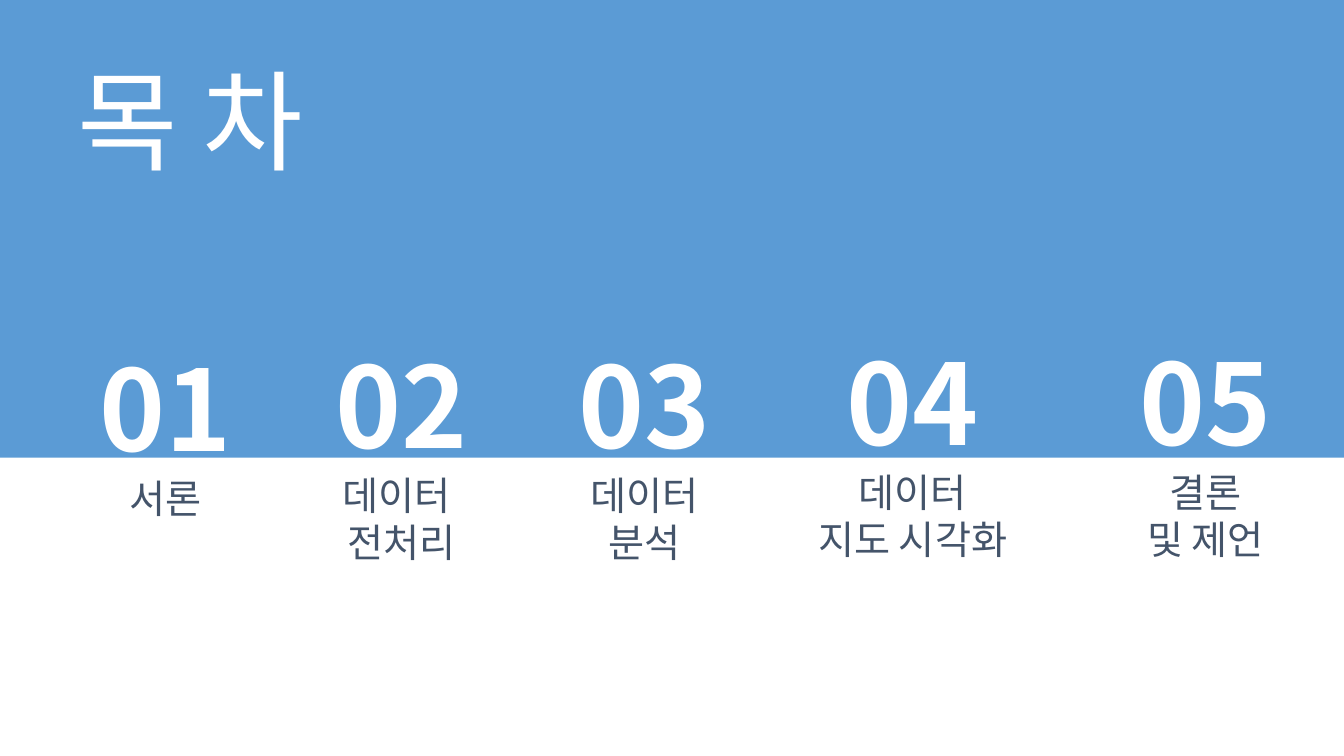
from dataclasses import dataclass

from lxml.etree import SubElement
from pptx import Presentation
from pptx.dml.color import RGBColor
from pptx.enum.shapes import MSO_SHAPE
from pptx.enum.text import MSO_ANCHOR, MSO_AUTO_SIZE, PP_ALIGN
from pptx.oxml.ns import qn
from pptx.shapes.autoshape import Shape
from pptx.slide import Slide
from pptx.text.text import _Paragraph
from pptx.util import Cm, Pt

FONT = "Noto Sans CJK KR"
COLORS = {"blue": "5B9BD5", "white": "FFFFFF", "slate": "44546A"}
SLIDE_WIDTH, SLIDE_HEIGHT = 33.87, 19.05
HORIZON = 11.53


@dataclass
class Band:
    top: float
    color: str


@dataclass
class Chapter:
    number: str
    lines: list[str]
    left: float
    top: float
    width: float


BANDS = [Band(0, "blue"), Band(HORIZON, "white")]
CHAPTERS = [
    Chapter("01", ["서론"], 1.98, 8.43, 4.39),
    Chapter("02", ["데이터 ", "전처리"], 7.92, 8.36, 4.39),
    Chapter("03", ["데이터", "분석"], 14.05, 8.36, 4.39),
    Chapter("04", ["데이터", "지도 시각화"], 20.09, 8.28, 5.82),
    Chapter("05", ["결론", "및 제언"], 27.66, 8.28, 5.44),
]


def format_paragraph(paragraph: _Paragraph, size: int, color: str, bold: bool = False) -> None:
    paragraph.alignment = PP_ALIGN.CENTER
    for run in paragraph.runs:
        run.font.size = Pt(size)
        run.font.bold = bold
        run.font.color.rgb = RGBColor.from_string(COLORS[color])
        run.font.name = FONT
        # Korean glyphs take the East Asian typeface
        SubElement(run.font._element, qn("a:ea")).set("typeface", FONT)


def add_band(slide: Slide, band: Band) -> Shape:
    shape = slide.shapes.add_shape(
        MSO_SHAPE.RECTANGLE, 0, Cm(band.top), Cm(SLIDE_WIDTH), Cm(SLIDE_HEIGHT - band.top)
    )
    shape.shadow.inherit = False
    shape.fill.solid()
    shape.fill.fore_color.rgb = RGBColor.from_string(COLORS[band.color])
    shape.line.fill.background()
    return shape


def set_title(slide: Slide, text: str) -> None:
    title = slide.shapes.title
    title.left, title.top, title.width, title.height = Cm(0), Cm(0), Cm(9.6), Cm(4.83)
    text_frame = title.text_frame
    text_frame.text = text
    text_frame.auto_size = MSO_AUTO_SIZE.NONE
    text_frame.vertical_anchor = MSO_ANCHOR.BOTTOM
    paragraph = text_frame.paragraphs[0]
    paragraph.line_spacing = 0.9
    format_paragraph(paragraph, 78, "white")


def add_chapter(slide: Slide, chapter: Chapter) -> None:
    height = 3.69 + 1.19 * len(chapter.lines)
    box = slide.shapes.add_textbox(
        Cm(chapter.left), Cm(chapter.top), Cm(chapter.width), Cm(height)
    )
    text_frame = box.text_frame
    text_frame.word_wrap = True
    text_frame.auto_size = MSO_AUTO_SIZE.SHAPE_TO_FIT_TEXT
    text_frame.text = "\n".join([chapter.number, *chapter.lines])
    number, *labels = text_frame.paragraphs
    format_paragraph(number, 80, "white", bold=True)
    for label in labels:
        format_paragraph(label, 28, "slate")


def main() -> None:
    presentation = Presentation()
    presentation.slide_width = Cm(SLIDE_WIDTH)
    presentation.slide_height = Cm(SLIDE_HEIGHT)
    slide = presentation.slides.add_slide(presentation.slide_layouts[5])

    # Colour bands, placed behind the title
    for band in BANDS:
        slide.shapes.title.element.addprevious(add_band(slide, band).element)

    # Heading
    set_title(slide, "목 차")

    # Numbered chapters across the horizon
    for chapter in CHAPTERS:
        add_chapter(slide, chapter)

    presentation.save("out.pptx")


if __name__ == "__main__":
    main()
